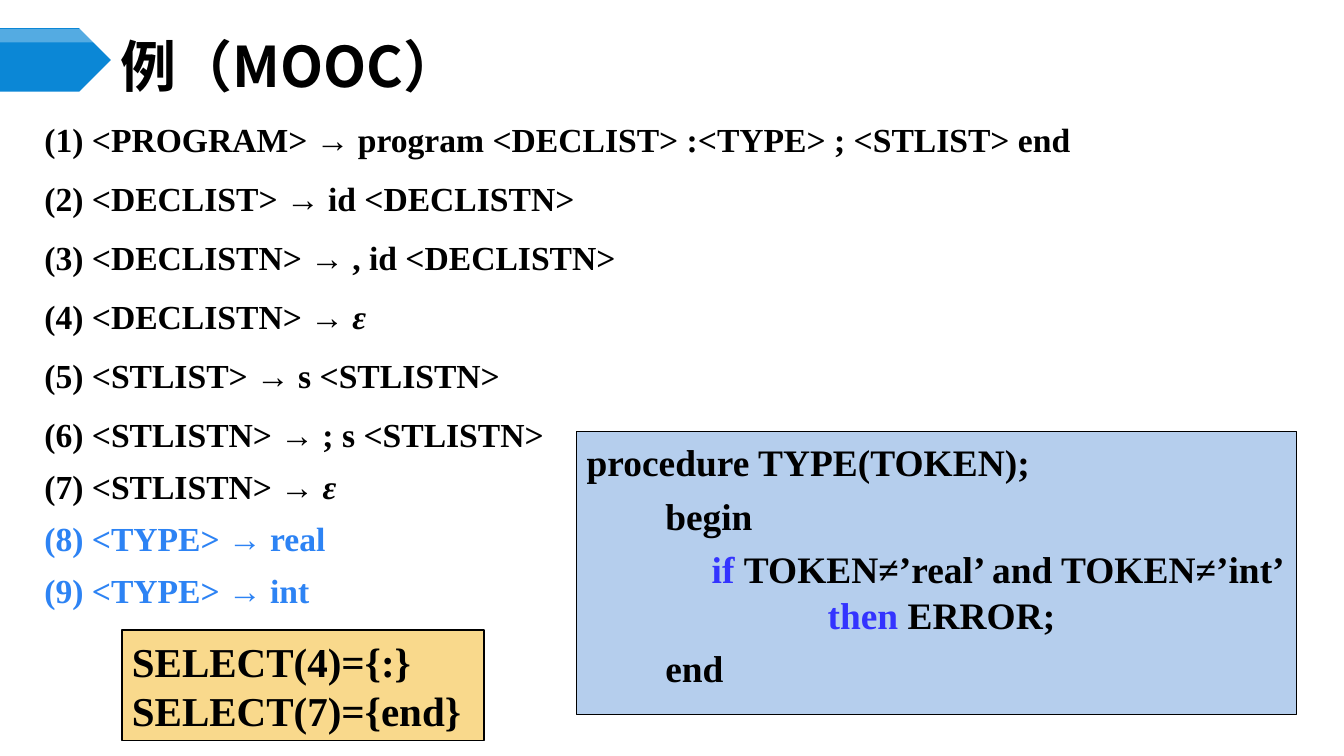
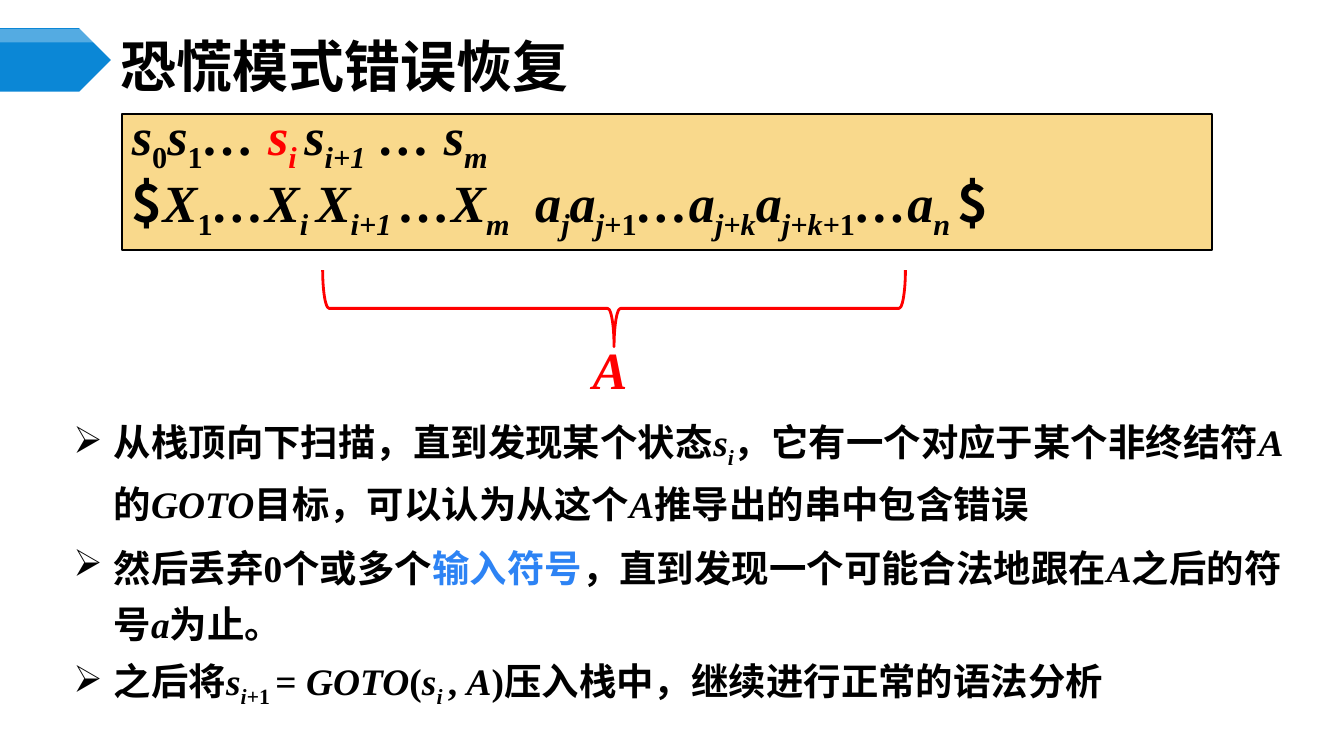
"""Build two slides on syntax-error handling in parsers."""
from dataclasses import dataclass
from typing import Optional

from lxml import etree
from pptx import Presentation
from pptx import util as u
from pptx.dml.color import RGBColor
from pptx.enum import shapes, text
from pptx.oxml import ns

BLACK = RGBColor(0x00, 0x00, 0x00)
WHITE = RGBColor(0xFF, 0xFF, 0xFF)
RED = RGBColor(0xFF, 0x00, 0x00)
BAND_BLUE = RGBColor(0x0B, 0x87, 0xD6)
HIGHLIGHT = RGBColor(0x2D, 0x83, 0xF4)
KEYWORD = RGBColor(0x33, 0x33, 0xFF)
AMBER = RGBColor(0xF9, 0xD9, 0x8C)
PALE_BLUE = RGBColor(0xB5, 0xCE, 0xED)
SERIF = "Times New Roman"
SANS = "Noto Sans CJK SC"


@dataclass(frozen=True)
class Run:
    """A stretch of text in one format."""
    words: str
    italic: bool = False
    subscript: bool = False
    color: RGBColor = BLACK
    font: str = SERIF


@dataclass(frozen=True)
class Line:
    """A paragraph; lengths are in inches and spacings in points."""
    runs: tuple[Run, ...]
    before: float = 0
    spacing: Optional[float] = None
    margin: float = 0
    bullet: str = ""
    tab: float = 0


@dataclass(frozen=True)
class Area:
    """A rectangle on the slide, in inches."""
    left: float
    top: float
    width: float
    height: float

    def lengths(self) -> tuple[u.Length, ...]:
        """Return the four values as lengths."""
        return tuple(map(u.Inches, (self.left, self.top, self.width, self.height)))


def var(words: str, color: RGBColor = BLACK) -> Run:
    """Return an italic symbol."""
    return Run(words, italic=True, color=color)


def sub(words: str, italic: bool = True, color: RGBColor = BLACK) -> Run:
    """Return a subscript."""
    return Run(words, italic=italic, subscript=True, color=color)


def add_child(parent, tag: str, **attributes: str):
    """Append a drawing element to a parent."""
    return etree.SubElement(parent, ns.qn(tag), attributes)


def write_text(shape, lines: list[Line], *, size: float, wrap: bool = True,
               middle: bool = False, insets: tuple[float, float] = (0.1, 0.05)) -> None:
    """Fill a shape with bold formatted paragraphs."""
    frame = shape.text_frame
    frame.word_wrap = wrap
    frame.vertical_anchor = text.MSO_ANCHOR.MIDDLE if middle else text.MSO_ANCHOR.TOP
    frame.margin_left = frame.margin_right = u.Inches(insets[0])
    frame.margin_top = frame.margin_bottom = u.Inches(insets[1])
    for number, line in enumerate(lines):
        paragraph = frame.add_paragraph() if number else frame.paragraphs[0]
        paragraph.alignment = text.PP_ALIGN.LEFT
        properties = paragraph._p.get_or_add_pPr()
        properties.set("marL", str(u.Inches(line.margin)))
        properties.set("indent", str(-u.Inches(line.margin) if line.bullet else 0))
        if line.bullet:
            add_child(properties, "a:buChar", char=line.bullet)
        if line.tab:
            stops = add_child(properties, "a:tabLst")
            add_child(stops, "a:tab", pos=str(u.Inches(line.tab)), algn="l")
        if line.before:
            paragraph.space_before = u.Pt(line.before)
        if line.spacing:
            paragraph.line_spacing = u.Pt(line.spacing)
        for part in line.runs:
            run = paragraph.add_run()
            run.text = part.words
            font = run.font
            font.name, font.size, font.bold = part.font, u.Pt(size), True
            font.italic = part.italic
            font.color.rgb = part.color
            run_properties = run._r.get_or_add_rPr()
            add_child(run_properties, "a:ea", typeface=SANS)
            if part.subscript:
                run_properties.set("baseline", "-25000")


def add_figure(slide, kind, area: Area, *, fill: Optional[RGBColor] = None,
               outline: Optional[RGBColor] = None, weight: float = 1):
    """Add a preset shape with a plain fill and outline."""
    figure = slide.shapes.add_shape(kind, *area.lengths())
    figure.shadow.inherit = False
    if fill is None:
        figure.fill.background()
    else:
        figure.fill.solid()
        figure.fill.fore_color.rgb = fill
    if outline is None:
        figure.line.fill.background()
    else:
        figure.line.color.rgb = outline
        figure.line.width = u.Pt(weight)
    return figure


def add_panel(slide, area: Area, fill: RGBColor, lines: list[Line], **layout) -> None:
    """Add a filled rectangle holding text."""
    panel = add_figure(slide, shapes.MSO_SHAPE.RECTANGLE, area, fill=fill, outline=BLACK)
    write_text(panel, lines, **layout)


def add_text(slide, area: Area, lines: list[Line], **layout) -> None:
    """Add a text box."""
    write_text(slide.shapes.add_textbox(*area.lengths()), lines, **layout)


def add_titled_slide(deck, title: str):
    """Add a blank slide with the pentagon band and a title."""
    slide = deck.slides.add_slide(deck.slide_layouts[6])
    add_figure(slide, shapes.MSO_SHAPE.PENTAGON, Area(0, 0.28, 1.1, 0.63), fill=BAND_BLUE)
    sheen = add_figure(slide, shapes.MSO_SHAPE.PENTAGON, Area(0, 0.29, 1.1, 0.13), fill=WHITE)
    tint = sheen._element.spPr.find(ns.qn("a:solidFill"))[0]
    add_child(tint, "a:alpha", val="30000")
    add_text(slide, Area(1.1, 0.39, 11.56, 0.52), [Line((Run(title, font=SANS),))],
             size=40, middle=True)
    return slide


def build_grammar(deck) -> None:
    """Build the grammar example."""
    slide = add_titled_slide(deck, "例（MOOC）")
    selects = [Line((Run(words),)) for words in ("SELECT(4)={:}", "SELECT(7)={end}")]
    add_panel(slide, Area(1.21, 6.25, 3.59, 1.1), AMBER, selects, size=29.3, middle=True)

    procedure = [
        Line((Run("procedure TYPE(TOKEN);"),)),
        Line((Run("begin"),), before=6, margin=0.78),
        Line((Run("if ", color=KEYWORD), Run("TOKEN≠’real’ and TOKEN≠’int’")),
             before=6, margin=1.24),
        Line((Run("then", color=KEYWORD), Run(" ERROR;")), before=1, margin=2.39),
        Line((Run("end"),), before=6, margin=0.78),
    ]
    add_panel(slide, Area(5.72, 4.28, 7.14, 2.81), PALE_BLUE, procedure,
              size=26.7, insets=(0.1, 0.08))

    productions = [
        ("PROGRAM", "program <DECLIST> :<TYPE> ; <STLIST> end"),
        ("DECLIST", "id <DECLISTN>"),
        ("DECLISTN", ", id <DECLISTN>"),
        ("DECLISTN", "ε"),
        ("STLIST", "s <STLISTN>"),
        ("STLISTN", "; s <STLISTN>"),
        ("STLISTN", "ε"),
        ("TYPE", "real"),
        ("TYPE", "int"),
    ]
    rules = []
    for number, (head, body) in enumerate(productions, start=1):
        color = HIGHLIGHT if head == "TYPE" else BLACK
        rules.append(Line((Run(f"({number}) <{head}> → ", color=color),
                           Run(body, italic=body == "ε", color=color)),
                          before=4.8 if 1 < number < 7 else 0, spacing=37.3))
    add_text(slide, Area(0.31, 0.99, 12.71, 5.16), rules, size=24, insets=(0.13, 0.07))


def build_recovery(deck) -> None:
    """Build the explanation of panic-mode recovery."""
    slide = add_titled_slide(deck, "恐慌模式错误恢复")
    steps = [
        (Run("从栈顶向下扫描，直到发现某个状态"), var("s"), sub("i"),
         Run("，它有一个对应于某个非终结符"), var("A"), Run("的"), var("GOTO"),
         Run("目标，可以认为从这个"), var("A"), Run("推导出的串中包含错误")),
        (Run("然后丢弃0个或多个"), Run("输入符号", color=HIGHLIGHT),
         Run("，直到发现一个可能合法地跟在"), var("A"), Run("之后的符号"), var("a"),
         Run("为止。")),
        (Run("之后将"), var("s"), sub("i+"), sub("1 ", italic=False), Run("= "),
         var("GOTO"), Run("("), var("s"), sub("i "), Run(", "), var("A"),
         Run(")压入栈中，继续进行正常的语法分析")),
    ]
    add_text(slide, Area(0.63, 4.06, 12.5, 3.05),
             [Line(runs, before=5.3 if number else 0, spacing=40, margin=0.4, bullet="➢")
              for number, runs in enumerate(steps)], size=26.7)

    dollar = Run("$", font=SANS)
    states = (var("s"), sub("0", italic=False), var("s"), sub("1", italic=False), var("… "),
              var("s", RED), sub("i ", color=RED), var("s"), sub("i+1"), var(" … s"),
              sub("m"))
    symbols = (dollar, var("X"), sub("1", italic=False), var("…X"), sub("i "), var("X"),
               sub("i+1 "), var("…X"), sub("m"), Run("\t"),
               var("a"), sub("j"), var("a"), sub("j+"), sub("1", italic=False),
               var("…a"), sub("j+k"), var("a"), sub("j+k+"), sub("1", italic=False),
               var("…a"), sub("n "), dollar)
    add_panel(slide, Area(1.21, 1.13, 10.81, 1.35), AMBER,
              [Line(states, spacing=40), Line(symbols, before=7.5, spacing=40, tab=5.33)],
              size=37.3)

    brace = add_figure(slide, shapes.MSO_SHAPE.RIGHT_BRACE, Area(5.71, 0.17, 0.76, 5.78),
                       outline=RED, weight=2)
    brace.rotation = 90
    add_text(slide, Area(5.78, 3.3, 0.55, 0.73), [Line((var("A", RED),))],
             size=37.3, wrap=False)


def main() -> None:
    """Create and save the presentation."""
    deck = Presentation()
    deck.slide_width, deck.slide_height = u.Inches(13.33), u.Inches(7.5)
    build_grammar(deck)
    build_recovery(deck)
    deck.save("out.pptx")


if __name__ == "__main__":
    main()
